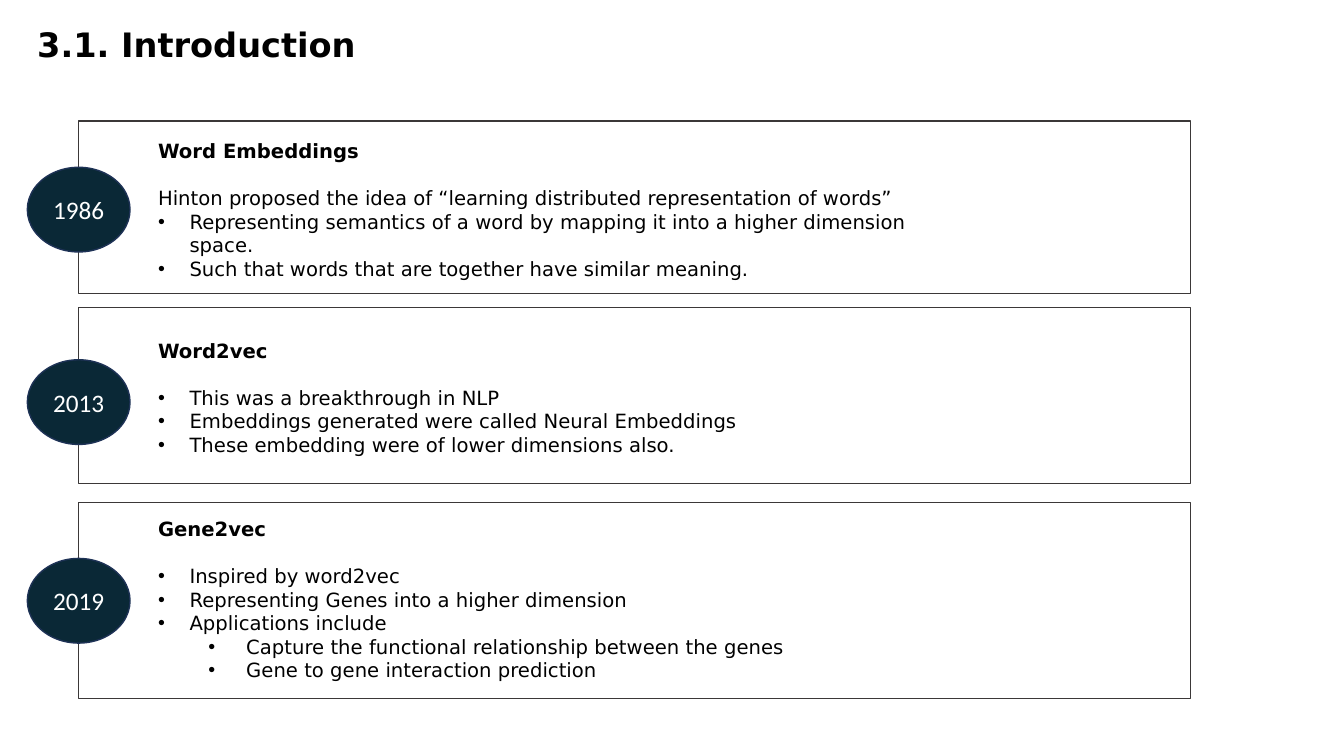
from lxml import etree
from pptx import Presentation
from pptx.dml.color import RGBColor
from pptx.enum.shapes import MSO_SHAPE
from pptx.enum.text import MSO_ANCHOR, MSO_AUTO_SIZE, PP_ALIGN
from pptx.oxml.ns import qn
from pptx.util import Pt

RECTANGLE, OVAL = MSO_SHAPE.RECTANGLE, MSO_SHAPE.OVAL
TOP, MIDDLE = MSO_ANCHOR.TOP, MSO_ANCHOR.MIDDLE
NO_AUTOFIT = MSO_AUTO_SIZE.NONE
LEFT, CENTER = PP_ALIGN.LEFT, PP_ALIGN.CENTER

BODY_FONT, YEAR_FONT = "DejaVu Sans", "Calibri"
BLACK, WHITE = "000000", "FFFFFF"
FRAME_LINE, YEAR_FILL, YEAR_LINE = "3B3838", "0A2836", "1E3256"
FRAME_LEFT, FRAME_WIDTH = 56.2, 794.2
YEAR_WIDTH, YEAR_HEIGHT = 73.4, 60.5
STORY_INDENT, STORY_WIDTH = 49.6, 591.1
HEADING_GAP = 16.9
PLAIN, BULLET, SUB_BULLET = None, 0, 1
INDENTS = {BULLET: (22.5, -22.5), SUB_BULLET: (63, -27)}

MILESTONES = [
    {"year": "1986", "top": 86.4, "height": 123.1, "year_top": 33.1,
     "story_top": 9.4, "heading": "Word Embeddings",
     "points": [
         (PLAIN, "Hinton proposed the idea of “learning distributed representation of words”"),
         (BULLET, "Representing semantics of a word by mapping it into a higher dimension space."),
         (BULLET, "Such that words that are together have similar meaning.")]},
    {"year": "2013", "top": 219.6, "height": 126, "year_top": 37.4,
     "story_top": 18.7, "heading": "Word2vec",
     "points": [
         (BULLET, "This was a breakthrough in NLP"),
         (BULLET, "Embeddings generated were called Neural Embeddings"),
         (BULLET, "These embedding were of lower dimensions also.")]},
    {"year": "2019", "top": 359.1, "height": 139.7, "year_top": 39.8,
     "story_top": 6.6, "heading": "Gene2vec",
     "points": [
         (BULLET, "Inspired by word2vec"),
         (BULLET, "Representing Genes into a higher dimension"),
         (BULLET, "Applications include"),
         (SUB_BULLET, "Capture the functional relationship between the genes"),
         (SUB_BULLET, "Gene to gene interaction prediction")]},
]


def colour(value):
    """Turn a hex string into a colour."""
    return RGBColor.from_string(value)


def write(paragraph, text, size, font=BODY_FONT, ink=BLACK, bold=False):
    """Set the text of a paragraph and format its runs."""
    paragraph.text = text
    for run in paragraph.runs:
        run.font.name = font
        run.font.size = Pt(size)
        run.font.bold = bold
        run.font.color.rgb = colour(ink)


def add_bullet(paragraph, level):
    """Give a paragraph a hanging bullet at its level."""
    paragraph.level = level
    margin, hanging = INDENTS[level]
    properties = paragraph._p.get_or_add_pPr()
    properties.set("marL", str(Pt(margin)))
    properties.set("indent", str(Pt(hanging)))
    etree.SubElement(properties, qn("a:buFont")).set("typeface", "Arial")
    etree.SubElement(properties, qn("a:buChar")).set("char", "•")


def add_outlined(slide, kind, box, line):
    """Add an unfilled shape with a thin outline."""
    outlined = slide.shapes.add_shape(kind, *map(Pt, box))
    outlined.shadow.inherit = False
    outlined.fill.background()
    outlined.line.color.rgb = colour(line)
    outlined.line.width = Pt(1)
    return outlined


def add_title(slide, left, top, width, height):
    """Place and format the slide title."""
    title = slide.shapes.title
    title.left, title.top, title.width, title.height = map(Pt, (left, top, width, height))
    frame = title.text_frame
    frame.auto_size = NO_AUTOFIT
    frame.vertical_anchor = TOP
    write(frame.paragraphs[0], "3.1. Introduction", 24, bold=True)
    frame.paragraphs[0].alignment = LEFT


def add_year(slide, year, center, top):
    """Add the dark year badge around a horizontal centre."""
    box = (center - YEAR_WIDTH / 2, top, YEAR_WIDTH, YEAR_HEIGHT)
    badge = add_outlined(slide, OVAL, box, YEAR_LINE)
    badge.fill.solid()
    badge.fill.fore_color.rgb = colour(YEAR_FILL)
    badge.text_frame.vertical_anchor = MIDDLE
    label = badge.text_frame.paragraphs[0]
    write(label, year, 18, YEAR_FONT, WHITE)
    label.alignment = CENTER


def add_story(slide, heading, points, left, top, width, height):
    """Add a bold heading followed by its points."""
    story = slide.shapes.add_textbox(*map(Pt, (left, top, width, height)))
    frame = story.text_frame
    frame.word_wrap = True
    write(frame.paragraphs[0], heading, 14, bold=True)
    frame.paragraphs[0].space_after = Pt(HEADING_GAP)
    for level, text in points:
        point = frame.add_paragraph()
        write(point, text, 14)
        if level is not PLAIN:
            add_bullet(point, level)


def add_milestone(slide, milestone, left, top, width, height):
    """Add one framed milestone with its year and story."""
    add_outlined(slide, RECTANGLE, (left, top, width, height), FRAME_LINE)
    add_year(slide, milestone["year"], left, top + milestone["year_top"])
    inset = milestone["story_top"]
    add_story(slide, milestone["heading"], milestone["points"],
              left + STORY_INDENT, top + inset, STORY_WIDTH, height - 2 * inset)


def main():
    """Build and save the presentation."""
    deck = Presentation()
    deck.slide_width, deck.slide_height = Pt(960), Pt(540)
    slide = deck.slides.add_slide(deck.slide_layouts[5])
    add_title(slide, 19.4, 13.7, 480, 36)
    for milestone in MILESTONES:
        add_milestone(slide, milestone, FRAME_LEFT, milestone["top"],
                      FRAME_WIDTH, milestone["height"])
    deck.save("out.pptx")


if __name__ == "__main__":
    main()
